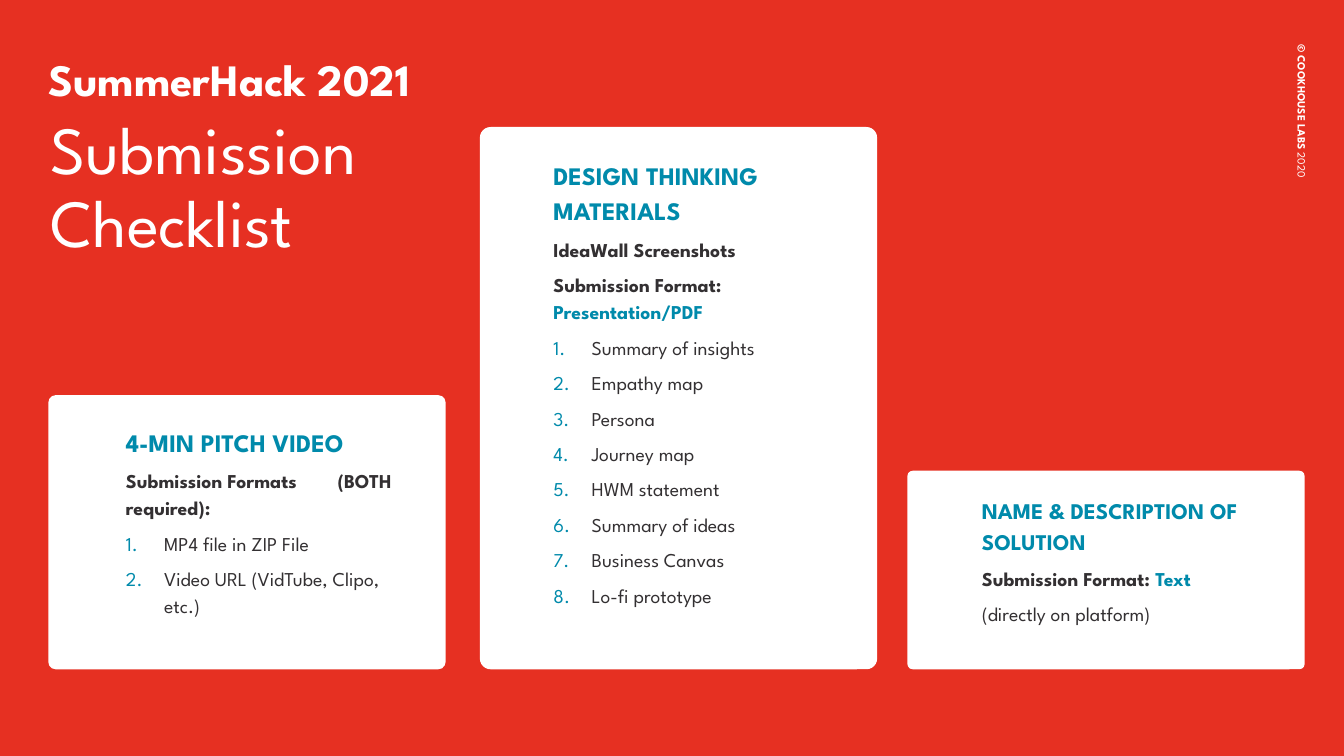
from pptx import Presentation
from pptx.dml.color import RGBColor
from pptx.enum.shapes import MSO_SHAPE
from pptx.enum.text import MSO_ANCHOR
from pptx.oxml.xmlchemy import OxmlElement
from pptx.util import Inches, Pt

COLORS = {"red": "E63022", "white": "FFFFFF", "teal": "008AAB", "ink": "333032"}
FONT = "League Spartan"

# Text styles: size, bold, colour
STYLES = {
    "title": (32, True, "white"),
    "subtitle": (48, False, "white"),
    "credit bold": (8, True, "white"),
    "credit": (8, False, "white"),
    "heading": (18, True, "teal"),
    "small heading": (16, True, "teal"),
    "label": (14, True, "ink"),
    "answer": (14, True, "teal"),
    "plain": (14, False, "ink"),
    "item": (14, False, "ink"),
}

TITLE = [[("title", "SummerHack 2021")]]
SUBTITLE = [[("subtitle", "Submission Checklist")]]
CREDIT = [[("credit bold", "© COOKHOUSE LABS "), ("credit", "2020")]]

MATERIALS = ["Summary of insights", "Empathy map", "Persona", "Journey map",
             "HWM statement", "Summary of ideas", "Business Canvas", "Lo-fi prototype"]

# Cards: left, height, text offset (x, y), text size (width, height), paragraphs
CARDS = [
    (0.48, 2.72, (0.67, 0.17), (2.92, 1.83), [
        [("heading", "4-MIN PITCH VIDEO")],
        [("label", "Submission Formats\t(BOTH required):")],
        [("item", "MP4 file in ZIP File")],
        [("item", "Video URL (VidTube, Clipo, etc.)")],
    ]),
    (4.76, 5.38, (0.63, 0.19), (3.13, 4.08), [
        [("heading", "DESIGN THINKING MATERIALS")],
        [("label", "IdeaWall Screenshots")],
        [("label", "Submission Format: "), ("answer", "Presentation/PDF")],
        *[[("item", material)] for material in MATERIALS],
    ]),
    (9.0, 1.97, (0.64, 0.12), (2.76, 1.13), [
        [("small heading", "NAME & DESCRIPTION OF SOLUTION")],
        [("label", "Submission Format: "), ("answer", "Text")],
        [("plain", "(directly on platform)")],
    ]),
]
CARD_WIDTH, CARD_BOTTOM, CARD_CORNER = 3.94, 6.64, 0.027
ITEM_INDENT, TAB_STOP = 0.38, 2.1


def color(name):
    return RGBColor.from_string(COLORS[name])


def add_element(parent, tag, **attributes):
    child = OxmlElement(tag)
    for name, value in attributes.items():
        child.set(name, str(value))
    parent.append(child)
    return child


def number_item(para):
    """Give a paragraph a teal automatic number and a hanging indent."""
    properties = para._p.get_or_add_pPr()
    properties.set("marL", str(Inches(ITEM_INDENT)))
    properties.set("indent", str(-Inches(ITEM_INDENT)))
    bullet_color = add_element(properties, "a:buClr")
    add_element(bullet_color, "a:srgbClr", val=COLORS["teal"])
    add_element(properties, "a:buFont", typeface=FONT)
    add_element(properties, "a:buAutoNum", type="arabicPeriod")


def write(box, paragraphs, line_spacing, margins, space_before=0):
    frame = box.text_frame
    frame.word_wrap = True
    for side, margin in zip(("left", "top", "right", "bottom"), margins):
        setattr(frame, f"margin_{side}", Inches(margin))
    for index, spans in enumerate(paragraphs):
        para = frame.add_paragraph() if index else frame.paragraphs[0]
        para.line_spacing = line_spacing
        para.space_before = Pt(space_before if index else 0)
        if spans[0][0] == "item":
            number_item(para)
        if "\t" in spans[0][1]:
            tabs = add_element(para._p.get_or_add_pPr(), "a:tabLst")
            add_element(tabs, "a:tab", pos=Inches(TAB_STOP), algn="l")
        for style, text in spans:
            span = para.add_run()
            span.text = text
            size, bold, tint = STYLES[style]
            for name, value in {"name": FONT, "size": Pt(size), "bold": bold}.items():
                setattr(span.font, name, value)
            span.font.color.rgb = color(tint)


def add_text(page, place, *content):
    box = page.shapes.add_textbox(*map(Inches, place))
    write(box, *content)
    return box


def add_card(page, left, height, offset, size, paragraphs):
    top = CARD_BOTTOM - height
    card = page.shapes.add_shape(MSO_SHAPE.ROUNDED_RECTANGLE,
                                 *map(Inches, (left, top, CARD_WIDTH, height)))
    card.adjustments[0] = CARD_CORNER
    card.shadow.inherit = False
    card.fill.solid()
    card.fill.fore_color.rgb = color("white")
    card.line.fill.background()
    add_text(page, (left + offset[0], top + offset[1], *size),
             paragraphs, 1.15, (0.1,) * 4, 6)


def main():
    deck = Presentation()
    deck.slide_width, deck.slide_height = Inches(13.33), Inches(7.5)
    page = deck.slides.add_slide(deck.slide_layouts[5])
    page.background.fill.solid()
    page.background.fill.fore_color.rgb = color("red")

    title = page.shapes.title
    title_place = {"left": 0.48, "top": 0.44, "width": 11.5, "height": 0.75}
    for name, value in title_place.items():
        setattr(title, name, Inches(value))
    write(title, TITLE, 0.9, (0, 0.05, 0.1, 0.05))
    title.text_frame.vertical_anchor = MSO_ANCHOR.MIDDLE
    title.text_frame.paragraphs[0].alignment = 1

    add_text(page, (0.4, 1.11, 3.85, 1.65), SUBTITLE, 0.9, (0.1, 0.05, 0.1, 0.05))
    for card in CARDS:
        add_card(page, *card)

    credit = add_text(page, (12.85, 0.44, 0.13, 1.38), CREDIT, 1.0, (0,) * 4)
    credit.text_frame.word_wrap = False
    credit.text_frame.vertical_anchor = MSO_ANCHOR.MIDDLE
    credit.text_frame._txBody.bodyPr.set("vert", "vert")
    deck.save("out.pptx")


if __name__ == "__main__":
    main()
